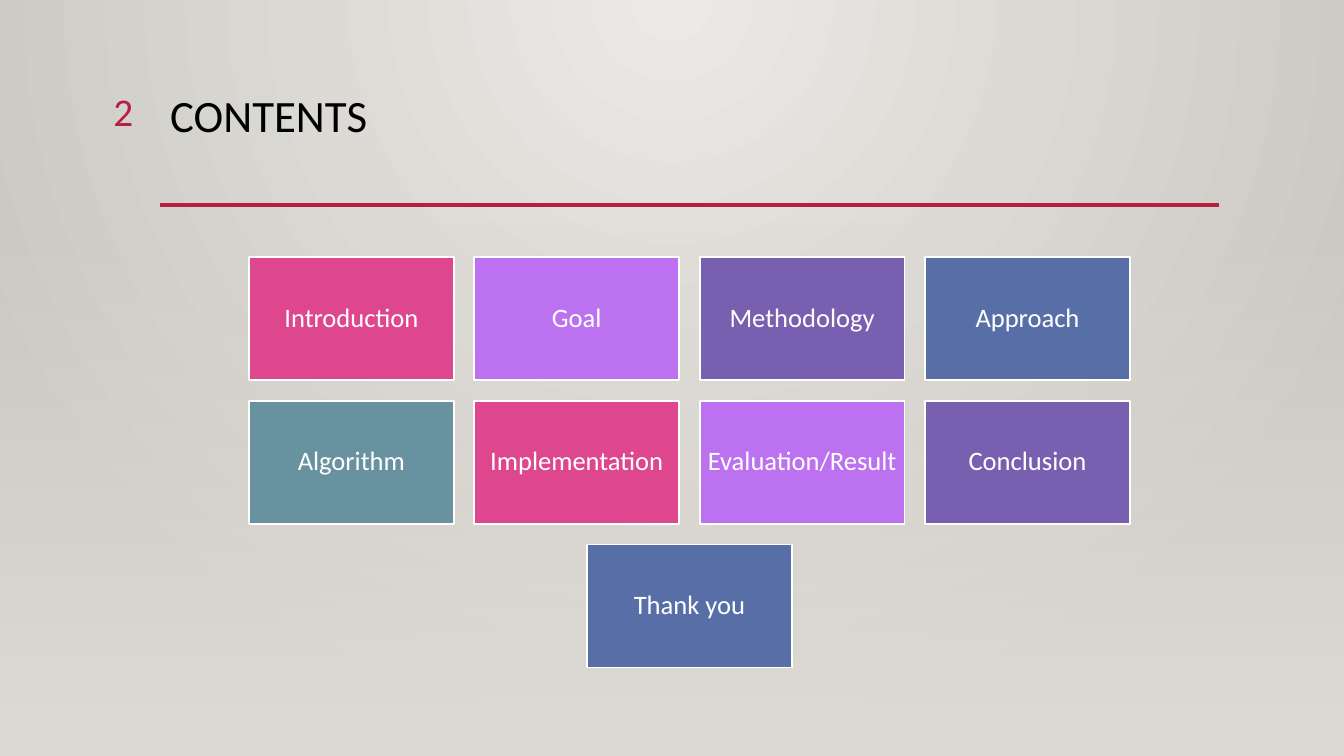
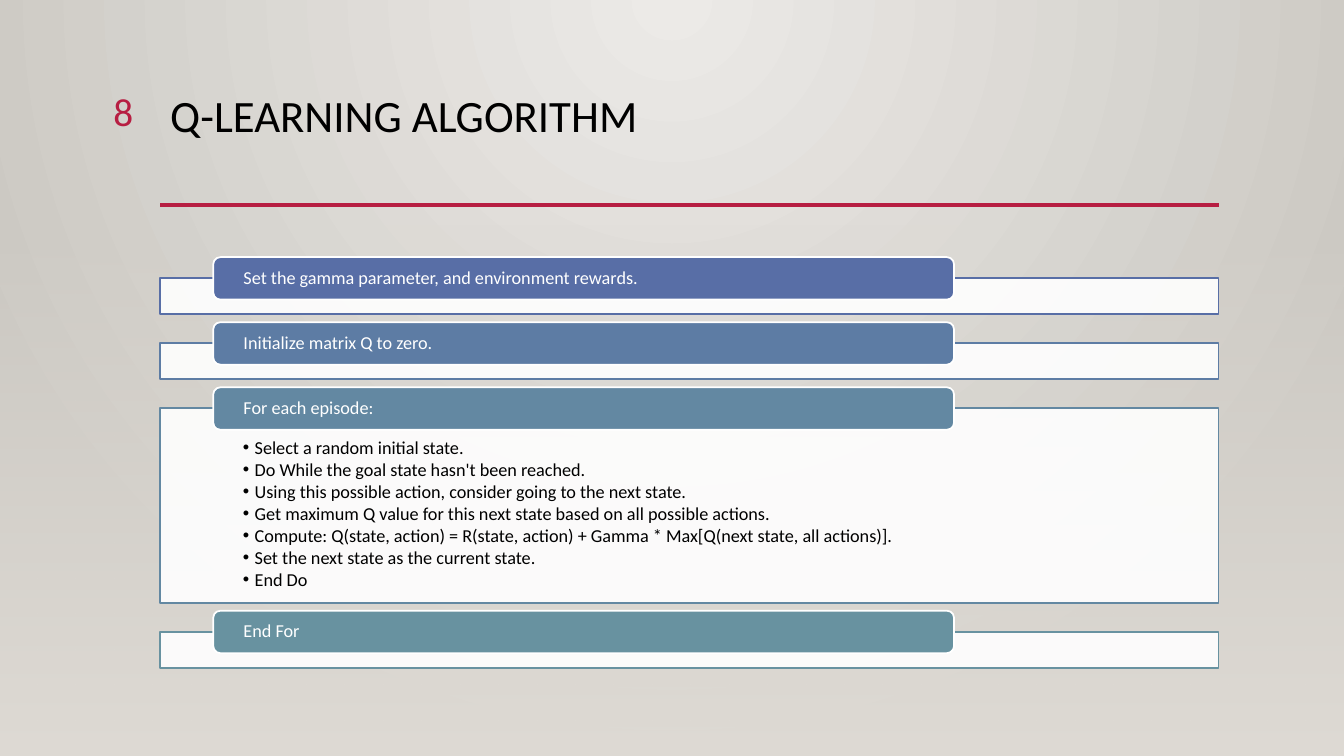
from itertools import cycle
from lxml.etree import SubElement
from pptx import Presentation
from pptx.dml.color import RGBColor
from pptx.enum.shapes import MSO_CONNECTOR, MSO_SHAPE
from pptx.enum.text import MSO_ANCHOR, MSO_AUTO_SIZE, PP_ALIGN
from pptx.oxml.ns import qn
from pptx.util import Cm, Pt

CONTENTS = ["Introduction", "Goal", "Methodology", "Approach", "Algorithm",
            "Implementation", "Evaluation/Result", "Conclusion", "Thank you"]
EPISODE = [
    "Select a random initial state.",
    "Do While the goal state hasn't been reached.",
    "Using this possible action, consider going to the next state.",
    "Get maximum Q value for this next state based on all possible actions.",
    "Compute: Q(state, action) = R(state, action) + Gamma * Max[Q(next state, all actions)].",
    "Set the next state as the current state.",
    "End Do",
]
STEPS = [
    ("Set the gamma parameter, and environment rewards.", "586EA6", []),
    ("Initialize matrix Q to zero.", "5D7CA4", []),
    ("For each episode:", "6388A2", EPISODE),
    ("End For", "6892A0", []),
]

FONT = "Calibri"
WHITE, BLACK, ACCENT, SAND = "FFFFFF", "000000", "B71E42", "DFDBD5"
TILE_COLOURS = ["DE478E", "BC72F0", "795FAF", "586EA6", "6892A0"]

PAGE_WIDTH, PAGE_HEIGHT = 33.87, 19.05
LEFT, WIDTH = 4.04, 26.67
RULE_TOP, BAND_TOP, CONTENT_TOP = 5.16, 5.61, 6.48
TILE_COLUMNS, TILE_WIDTH, TILE_HEIGHT, TILE_GAP = 4, 5.16, 3.1, 0.52
HEADER_HEIGHT, HEADER_OVERHANG, STEP_GAP = 1.07, 0.53, 0.2
PANEL_HEIGHT, EPISODE_HEIGHT = 0.91, 4.9

TITLE = {"size": 32, "colour": BLACK}
NUMBER = {"size": 28, "colour": ACCENT, "align": PP_ALIGN.RIGHT}
TILE = {"size": 19, "colour": WHITE, "align": PP_ALIGN.CENTER,
        "anchor": MSO_ANCHOR.MIDDLE, "insets": (0.1, 0.1, 0.1, 0.1)}
HEADER = {"size": 13, "colour": WHITE, "anchor": MSO_ANCHOR.MIDDLE,
          "insets": (0.71, 0, 0.71, 0)}
BULLETS = {"size": 13, "colour": BLACK, "insets": (2.08, 0.76, 2.08, 0.25),
           "after": 1.7, "bullet": True}


def colour(value):
    return RGBColor.from_string(value)


def place(*lengths):
    return [Cm(length) for length in lengths]


def set_all(target, values):
    for name, value in values.items():
        setattr(target, name, value)


def write(box, lines, style):
    frame = box.text_frame
    left, top, right, bottom = style.get("insets", (0.25, 0.13, 0.25, 0.13))
    set_all(frame, {
        "word_wrap": True, "auto_size": MSO_AUTO_SIZE.NONE,
        "vertical_anchor": style.get("anchor", MSO_ANCHOR.TOP),
        "margin_left": Cm(left), "margin_top": Cm(top),
        "margin_right": Cm(right), "margin_bottom": Cm(bottom)})
    for index, line in enumerate(lines):
        para = frame.add_paragraph() if index else frame.paragraphs[0]
        set_all(para, {
            "alignment": style.get("align", PP_ALIGN.LEFT), "line_spacing": 0.9,
            "space_before": Pt(0), "space_after": Pt(style.get("after", 0))})
        span = para.add_run()
        set_all(span, {"text": line})
        set_all(span.font, {"name": FONT, "size": Pt(style["size"])})
        span.font.color.rgb = colour(style["colour"])
        if style.get("bullet"):
            properties = para._p.get_or_add_pPr()
            properties.set("marL", str(Cm(0.3)))
            properties.set("indent", str(-Cm(0.3)))
            SubElement(properties, qn("a:buFont"), typeface="Arial")
            SubElement(properties, qn("a:buChar"), char="•")


def paint_gradient(owner, fill, stops):
    fill.gradient()
    gradient = next(owner.element.iter(qn("a:gradFill")))
    for child in list(gradient):
        gradient.remove(child)
    stop_list = SubElement(gradient, qn("a:gsLst"))
    for position, value, opacity in stops:
        stop = SubElement(stop_list, qn("a:gs"), pos=str(position * 1000))
        tint = SubElement(stop, qn("a:srgbClr"), val=value)
        if opacity < 100:
            SubElement(tint, qn("a:alpha"), val=str(opacity * 1000))
    return gradient


def paint_background(master):
    gradient = paint_gradient(master, master.background.fill,
                              [(0, "ECEAE7", 100), (100, "CAC7C1", 100)])
    circle = SubElement(gradient, qn("a:path"), {"path": "circle"})
    SubElement(circle, qn("a:fillToRect"), l="43000", t="0", r="43000", b="100000")


def add_box(page, kind, area, fill, line, opacity=100):
    box = page.shapes.add_shape(kind, *place(*area))
    box.shadow.inherit = False
    box.fill.solid()
    box.fill.fore_color.rgb = colour(fill)
    box.line.color.rgb = colour(line)
    box.line.width = Pt(1.25)
    if opacity < 100:
        tint = next(box.element.spPr.iter(qn("a:srgbClr")))
        SubElement(tint, qn("a:alpha"), val=str(opacity * 1000))
    return box


def add_page(deck, title, number):
    page = deck.slides.add_slide(deck.slide_layouts[5])
    heading = page.shapes.title
    set_all(heading, dict(zip(("left", "top", "width", "height"),
                              place(LEFT, 2.24, WIDTH, 2.92))))
    write(heading, [title], TITLE)
    write(page.shapes.add_textbox(*place(1.35, 2.21, 2.26, 1.4)), [number], NUMBER)

    rule = page.shapes.add_connector(
        MSO_CONNECTOR.STRAIGHT, *place(LEFT, RULE_TOP, LEFT + WIDTH, RULE_TOP))
    rule.line.color.rgb = colour(ACCENT)
    rule.line.width = Pt(2.5)
    SubElement(rule.element.spPr, qn("a:effectLst"))

    band = page.shapes.add_shape(
        MSO_SHAPE.RECTANGLE, *place(0, BAND_TOP, PAGE_WIDTH, PAGE_HEIGHT - BAND_TOP))
    band.shadow.inherit = False
    band.line.fill.background()
    gradient = paint_gradient(band, band.fill, [(0, SAND, 0), (100, SAND, 100)])
    SubElement(gradient, qn("a:lin"), ang="5400000", scaled="0")
    return page


def add_tiles(page):
    fills = cycle(TILE_COLOURS)
    top = CONTENT_TOP
    for start in range(0, len(CONTENTS), TILE_COLUMNS):
        row = CONTENTS[start:start + TILE_COLUMNS]
        row_width = len(row) * (TILE_WIDTH + TILE_GAP) - TILE_GAP
        left = LEFT + (WIDTH - row_width) / 2
        for label in row:
            tile = add_box(page, MSO_SHAPE.RECTANGLE,
                           (left, top, TILE_WIDTH, TILE_HEIGHT), next(fills), WHITE)
            write(tile, [label], TILE)
            left += TILE_WIDTH + TILE_GAP
        top += TILE_HEIGHT + TILE_GAP


def add_steps(page):
    top = CONTENT_TOP
    for label, tint, details in STEPS:
        height = EPISODE_HEIGHT if details else PANEL_HEIGHT
        panel_top = top + HEADER_OVERHANG
        panel = add_box(page, MSO_SHAPE.RECTANGLE,
                        (LEFT, panel_top, WIDTH, height), WHITE, tint, 90)
        write(panel, details, BULLETS)
        header = add_box(page, MSO_SHAPE.ROUNDED_RECTANGLE,
                         (LEFT + WIDTH * 0.05, top, WIDTH * 0.7, HEADER_HEIGHT),
                         tint, WHITE)
        write(header, [label], HEADER)
        top = panel_top + height + STEP_GAP


deck = Presentation()
set_all(deck, {"slide_width": Cm(PAGE_WIDTH), "slide_height": Cm(PAGE_HEIGHT)})
paint_background(deck.slide_master)
add_tiles(add_page(deck, "CONTENTS", "2"))
add_steps(add_page(deck, "Q-LEARNING ALGORITHM", "8"))
deck.save("out.pptx")
